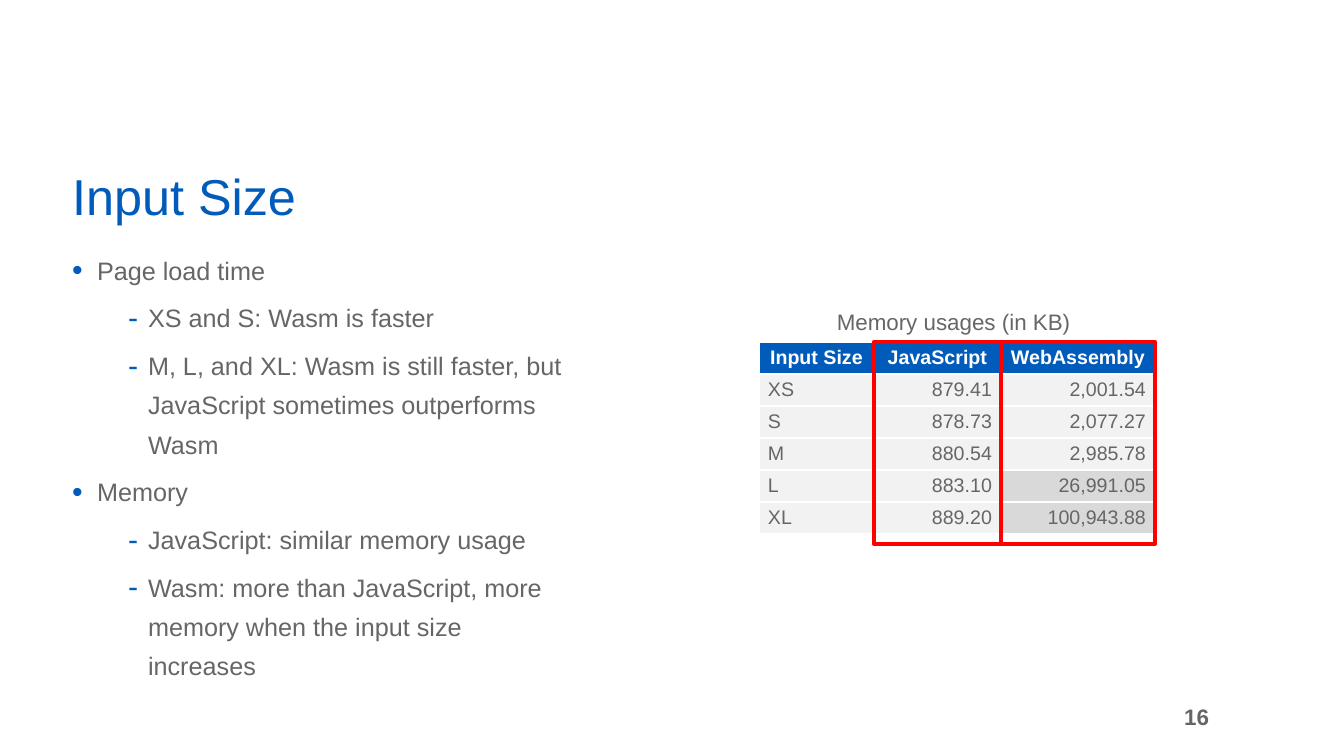
import pptx
import pptx.util
import pptx.dml.color
import pptx.enum.shapes
import pptx.enum.text
import pptx.oxml.ns
from lxml import etree

ALIGN = pptx.enum.text.PP_ALIGN
ANCHOR = pptx.enum.text.MSO_ANCHOR

TITLE = "Input Size"
BULLETS = [
    (0, "Page load time"),
    (1, "XS and S: Wasm is faster"),
    (1, "M, L, and XL: Wasm is still faster, but JavaScript sometimes outperforms Wasm"),
    (0, "Memory"),
    (1, "JavaScript: similar memory usage"),
    (1, "Wasm: more than JavaScript, more memory when the input size increases"),
]
CAPTION = "Memory usages (in KB)"
MEMORY = [
    ("Input Size", "JavaScript", "WebAssembly"),
    ("XS", "879.41", "2,001.54"),
    ("S", "878.73", "2,077.27"),
    ("M", "880.54", "2,985.78"),
    ("L", "883.10", "26,991.05"),
    ("XL", "889.20", "100,943.88"),
]
EMPHASIS = {(4, 2), (5, 2)}
PAGE = "16"

COLORS = {"blue": "005BBB", "grey": "666666", "white": "FFFFFF",
          "pale": "F2F2F2", "shade": "D9D9D9", "red": "FF0000"}

# Lengths in px; the slide is 1344 px wide
SLIDE = (1344, 756)
EMU_PER_PX = 12192000 / SLIDE[0]
TITLE_BOX = (62, 165, 766, 66)
BODY_BOX = (62, 241, 522, 437)
CAPTION_BOX = (822, 303, 263, 37)
PAGE_BOX = (765, 697, 454, 40)
TABLE_LEFT, TABLE_TOP = 759, 342
COLUMNS = (115, 127, 154)
ROW = 32
FRAME_HEIGHT = 202
LEVELS = [("•", 25, 25), ("-", 76, 20)]  # bullet, text indent, hanging


def px(n):
    return pptx.util.Emu(round(n * EMU_PER_PX))


def color(name):
    return pptx.dml.color.RGBColor.from_string(COLORS[name])


def place(sp, box):
    sp.left, sp.top, sp.width, sp.height = map(px, box)


def write(p, text, size=18, fill="grey", bold=False, align=ALIGN.LEFT, spacing=None, before=0):
    p.alignment = align
    p.line_spacing = spacing
    p.space_before = pptx.util.Pt(before)
    r = p.add_run()
    r.text = text
    r.font.name = "Arial"
    r.font.size = pptx.util.Pt(size)
    r.font.bold = bold
    r.font.color.rgb = color(fill)


def add_bullet(p, level):
    char, indent, hanging = LEVELS[level]
    p.level = level
    pPr = p._p.get_or_add_pPr()
    pPr.set("marL", str(px(indent)))
    pPr.set("indent", str(-px(hanging)))
    qn = pptx.oxml.ns.qn
    clr = etree.SubElement(pPr, qn("a:buClr"))
    etree.SubElement(clr, qn("a:srgbClr"), val=COLORS["blue"])
    etree.SubElement(pPr, qn("a:buSzPct"), val="120000")
    etree.SubElement(pPr, qn("a:buFont"), typeface="Arial")
    etree.SubElement(pPr, qn("a:buChar"), char=char)


def add_label(slide, box, text, anchor=ANCHOR.TOP, **fmt):
    tf = slide.shapes.add_textbox(*map(px, box)).text_frame
    tf.word_wrap = True
    tf.vertical_anchor = anchor
    write(tf.paragraphs[0], text, size=16, **fmt)


def add_text(slide):
    title, body = slide.shapes.title, slide.placeholders[1]
    for sp, box, anchor in ((title, TITLE_BOX, ANCHOR.BOTTOM), (body, BODY_BOX, ANCHOR.TOP)):
        place(sp, box)
        sp.text_frame.auto_size = pptx.enum.text.MSO_AUTO_SIZE.NONE
        sp.text_frame.vertical_anchor = anchor
    write(title.text_frame.paragraphs[0], TITLE, size=36, fill="blue", spacing=0.9)
    tf = body.text_frame
    for i, (level, text) in enumerate(BULLETS):
        p = tf.add_paragraph() if i else tf.paragraphs[0]
        write(p, text, spacing=1.3, before=6)
        add_bullet(p, level)


def add_memory_table(slide):
    box = (TABLE_LEFT, TABLE_TOP, sum(COLUMNS), ROW * len(MEMORY))
    table = slide.shapes.add_table(len(MEMORY), len(COLUMNS), *map(px, box)).table
    table.horz_banding = False
    for column, width in zip(table.columns, COLUMNS):
        column.width = px(width)
    for i, values in enumerate(MEMORY):
        table.rows[i].height = px(ROW)
        for j, text in enumerate(values):
            cell = table.cell(i, j)
            cell.vertical_anchor = ANCHOR.MIDDLE
            cell.margin_left = cell.margin_right = px(9)
            cell.margin_top = cell.margin_bottom = px(4)
            cell.fill.solid()
            if i == 0:
                back, fill, align = "blue", "white", ALIGN.CENTER
            else:
                back = "shade" if (i, j) in EMPHASIS else "pale"
                fill, align = "grey", ALIGN.RIGHT if j else ALIGN.LEFT
            cell.fill.fore_color.rgb = color(back)
            write(cell.text_frame.paragraphs[0], text, size=14, fill=fill,
                  bold=i == 0, align=align)


def add_column_frame(slide, j):
    box = (TABLE_LEFT + sum(COLUMNS[:j]), TABLE_TOP, COLUMNS[j], FRAME_HEIGHT)
    sp = slide.shapes.add_shape(pptx.enum.shapes.MSO_SHAPE.RECTANGLE, *map(px, box))
    sp.shadow.inherit = False
    sp.fill.background()
    sp.line.color.rgb = color("red")
    sp.line.width = pptx.util.Pt(3)


def main():
    prs = pptx.Presentation()
    prs.slide_width, prs.slide_height = map(px, SLIDE)
    slide = prs.slides.add_slide(prs.slide_layouts[1])
    add_text(slide)
    add_memory_table(slide)
    add_label(slide, CAPTION_BOX, CAPTION, align=ALIGN.CENTER)
    for j in (2, 1):
        add_column_frame(slide, j)
    add_label(slide, PAGE_BOX, PAGE, anchor=ANCHOR.MIDDLE, bold=True, align=ALIGN.RIGHT)
    prs.save("out.pptx")


if __name__ == "__main__":
    main()
